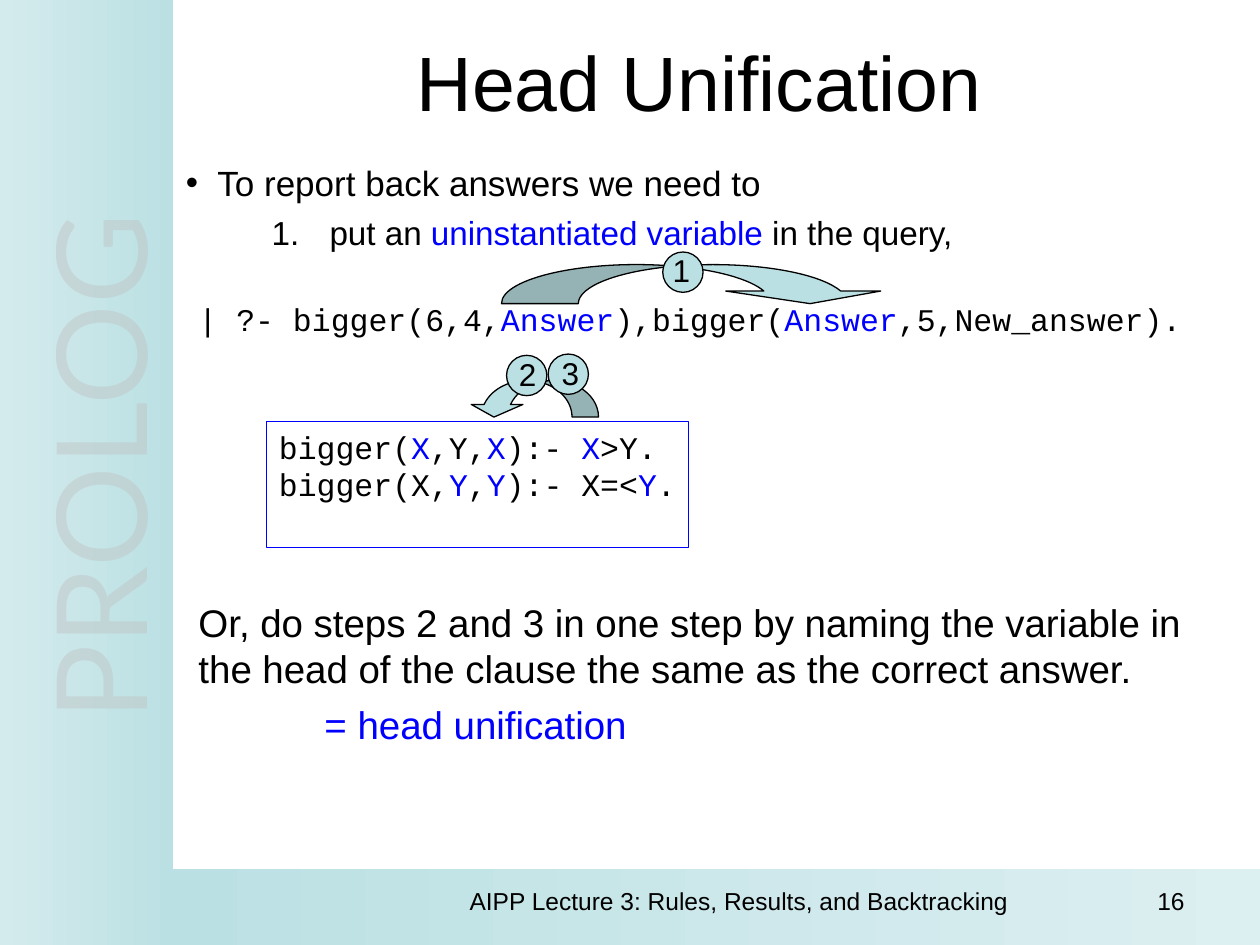
from math import acos, asin, cos, pi, sin, tan

from lxml import etree
from pptx import Presentation
from pptx.dml.color import RGBColor
from pptx.enum.shapes import MSO_SHAPE
from pptx.enum.text import MSO_ANCHOR, MSO_AUTO_SIZE, PP_ALIGN
from pptx.oxml.ns import qn
from pptx.util import Pt

RECT, OVAL = MSO_SHAPE.RECTANGLE, MSO_SHAPE.OVAL
TOP, MID = MSO_ANCHOR.TOP, MSO_ANCHOR.MIDDLE
LEFT, MIDDLE, RIGHT = PP_ALIGN.LEFT, PP_ALIGN.CENTER, PP_ALIGN.RIGHT
FIXED = MSO_AUTO_SIZE.NONE
HEX = {"ink": "000000", "blue": "0000FF", "teal": "BBE0E3", "pale": "D4EBED",
       "mist": "DCEFF1", "grey": "C0C0C0"}
TINT = {name: RGBColor.from_string(code) for name, code in HEX.items()}

deck = Presentation()
deck.slide_width, deck.slide_height = 9144000, 6858000
COL, ROW = deck.slide_width / 100, deck.slide_height / 75
slide = deck.slides.add_slide(deck.slide_layouts[1])
shapes = slide.shapes


def place(item, box):
    sides = zip(("left", "top", "width", "height"), box, (COL, ROW, COL, ROW))
    for side, count, unit in sides:
        setattr(item, side, round(count * unit))


def write(para, text, size, face="Arial", align=LEFT, gap=0, ink="ink"):
    form = {"alignment": align, "space_before": Pt(gap), "line_spacing": 1.0}
    for key, value in form.items():
        setattr(para, key, value)
    for turn, part in enumerate(text.split("*")):
        if part:
            run = para.add_run()
            run.text = part
            for key, value in {"size": Pt(size), "name": face}.items():
                setattr(run.font, key, value)
            run.font.color.rgb = TINT["blue" if turn % 2 else ink]


bands = [((13.75, 69, 86.25, 6), "teal", "mist"),
         ((0, 0, 13.75, 75), "pale", "teal")]
for box, start, end in bands:
    band = shapes.add_shape(RECT, 0, 0, 0, 0)
    place(band, box)
    band.shadow.inherit = False
    band.line.fill.background()
    band.fill.gradient()
    band.fill.gradient_angle = 0
    for stop, name in zip(band.fill.gradient_stops, (start, end)):
        stop.color.rgb = TINT[name]

labels = [((-27.7, 31.7, 68.5, 10.7), "PROLOG", 72, "Lato", MIDDLE, "grey"),
          ((34.2, 69.8, 48.9, 3.7),
           "AIPP Lecture 3: Rules, Results, and Backtracking",
           14, "Arial", MIDDLE, "ink"),
          ((84.7, 69.8, 10.3, 3.7), "16", 14, "Arial", RIGHT, "ink")]
for box, text, size, face, align, ink in labels:
    label = shapes.add_textbox(0, 0, 0, 0)
    place(label, box)
    label.text_frame.word_wrap = True
    para = label.text_frame.paragraphs[0]
    write(para, text, size, face, align, ink=ink)
    if text == "PROLOG":
        label.rotation = 270
        tone = para.runs[0].font.fill._xPr.find(".//" + qn("a:srgbClr"))
        etree.SubElement(tone, qn("a:alpha")).set("val", "42000")

title, body = shapes.title, slide.placeholders[1]
for item, box, anchor in ((title, (13.75, 2.05, 83.5, 8.7), MID),
                          (body, (13.75, 12.3, 83.5, 56.7), TOP)):
    place(item, box)
    form = {"word_wrap": True, "auto_size": FIXED, "vertical_anchor": anchor}
    for key, value in form.items():
        setattr(item.text_frame, key, value)
write(title.text_frame.paragraphs[0], "Head Unification", 44, align=MIDDLE)

lines = [
    ("To report back answers we need to", 20, "Arial", 5, 2.5, -2.5, "•"),
    ("put an *uninstantiated variable* in the query,",
     19, "Arial", 5.2, 11.4, -4.6, "1."),
    ("| ?- bigger(6,4,*Answer*),bigger(*Answer*,5,New_answer).",
     18, "Courier New", 27.3, 1, 0, ""),
    ("Or, do steps 2 and 3 in one step by naming the variable in the head "
     "of the clause the same as the correct answer.",
     22, "Arial", 149, 1, 0, ""),
    ("*= head unification*", 22, "Arial", 5.5, 11, 0, "")]
for turn, (text, size, face, gap, edge, hang, mark) in enumerate(lines):
    frame = body.text_frame
    para = frame.add_paragraph() if turn else frame.paragraphs[0]
    write(para, text, size, face, gap=gap)
    props = para._p.get_or_add_pPr()
    props.set("marL", str(round(edge * COL)))
    props.set("indent", str(round(hang * COL)))
    if mark:
        tone = etree.SubElement(props, qn("a:buClr"))
        etree.SubElement(tone, qn("a:srgbClr")).set("val", HEX["ink"])
    if mark == "•":
        etree.SubElement(props, qn("a:buFont")).set("typeface", "Arial")
        etree.SubElement(props, qn("a:buChar")).set("char", mark)
    elif mark:
        etree.SubElement(props, qn("a:buAutoNum")).set("type", "arabicPeriod")
    else:
        etree.SubElement(props, qn("a:buNone"))

arrows = [(50.5, 10.7, 6.1, 21, 24.1, 1, (69.9, 64.3, 57.6)),
          (43.9, 3.6, 2.1, 30.2, 33.1, -1, (37.4, 39.2, 41.5))]
for mid, wide, thick, top, base, way, (wing, tip, barb) in arrows:
    tall = base - top
    cross, neck = asin(thick / 2 / wide), acos(1 / tall)
    arcs = []
    for shift, start, end in ((thick, 0, neck), (0, neck, cross),
                              (thick, -cross, 0), (0, -pi / 2, cross),
                              (thick, -cross, -pi / 2)):
        pull = 4 / 3 * tan((end - start) / 4)
        arcs.append([(mid + way * (shift + wide * (sin(t) + k * cos(t))),
                      base - tall * (cos(t) - k * sin(t)))
                     for t, k in ((start, 0), (start, pull),
                                  (end, -pull), (end, 0))])
    head = [[(wing, base - 1)], [(tip, base)], [(barb, base - 1)], arcs[1][:1]]
    light = [arcs[0][:1], arcs[0][1:], *head, arcs[1][1:], arcs[2][1:]]
    dark = [arcs[3][:1], arcs[3][1:], arcs[4][1:]]
    ends = [(step[-1][0] * COL, step[-1][1] * ROW) for step in light + dark]
    pen = shapes.build_freeform(*ends[0])
    pen.add_line_segments(ends[1:], close=True)
    bow = pen.convert_to_shape()
    bow.shadow.inherit = False
    bow.fill.solid()
    bow.fill.fore_color.rgb = TINT["teal"]
    bow.line.color.rgb = TINT["ink"]
    bow.line.width = Pt(0.75)
    track = bow._element.find(".//" + qn("a:pathLst"))
    track.remove(track[0])
    for steps, shade in ((light, "norm"), (dark, "darkenLess")):
        trail = etree.SubElement(track, qn("a:path"))
        for key, value in {"w": bow.width, "h": bow.height,
                           "fill": shade}.items():
            trail.set(key, str(value))
        for turn, step in enumerate(steps):
            kind = "cubicBezTo" if len(step) == 3 else "lnTo"
            move = etree.SubElement(trail, qn("a:" + (kind if turn else "moveTo")))
            for x, y in step:
                dot = etree.SubElement(move, qn("a:pt"))
                dot.set("x", str(round(x * COL - bow.left)))
                dot.set("y", str(round(y * ROW - bow.top)))
        etree.SubElement(trail, qn("a:close"))

rules = "bigger(*X*,Y,*X*):- *X*>Y.", "bigger(X,*Y*,*Y*):- X=<*Y*."
panels = [(OVAL, (52.6, 20, 3.2, 3.2), (52.4, 19.4, 3.4, 4), ["1"]),
          (OVAL, (40.2, 28.2, 3.2, 3.2), (40.2, 27.7, 3.4, 4), ["2"]),
          (RECT, (21.15, 33.45, 33.5, 10), None, rules),
          (OVAL, (43.5, 28.1, 3.2, 3.2), (43.6, 27.6, 3.4, 4), ["3"])]
for kind, box, spot, texts in panels:
    panel = shapes.add_shape(kind, 0, 0, 0, 0)
    place(panel, box)
    panel.shadow.inherit = False
    panel.line.width = Pt(0.75)
    face, edge, holder = "Courier New", "blue", panel
    if spot:
        panel.fill.solid()
        panel.fill.fore_color.rgb = TINT["teal"]
        face, edge, holder = "Arial", "ink", shapes.add_textbox(0, 0, 0, 0)
        place(holder, spot)
    else:
        panel.fill.background()
    panel.line.color.rgb = TINT[edge]
    frame = holder.text_frame
    frame.word_wrap = False
    frame.vertical_anchor = TOP
    for turn, text in enumerate(texts):
        para = frame.add_paragraph() if turn else frame.paragraphs[0]
        write(para, text, 18, face)

deck.save("out.pptx")
